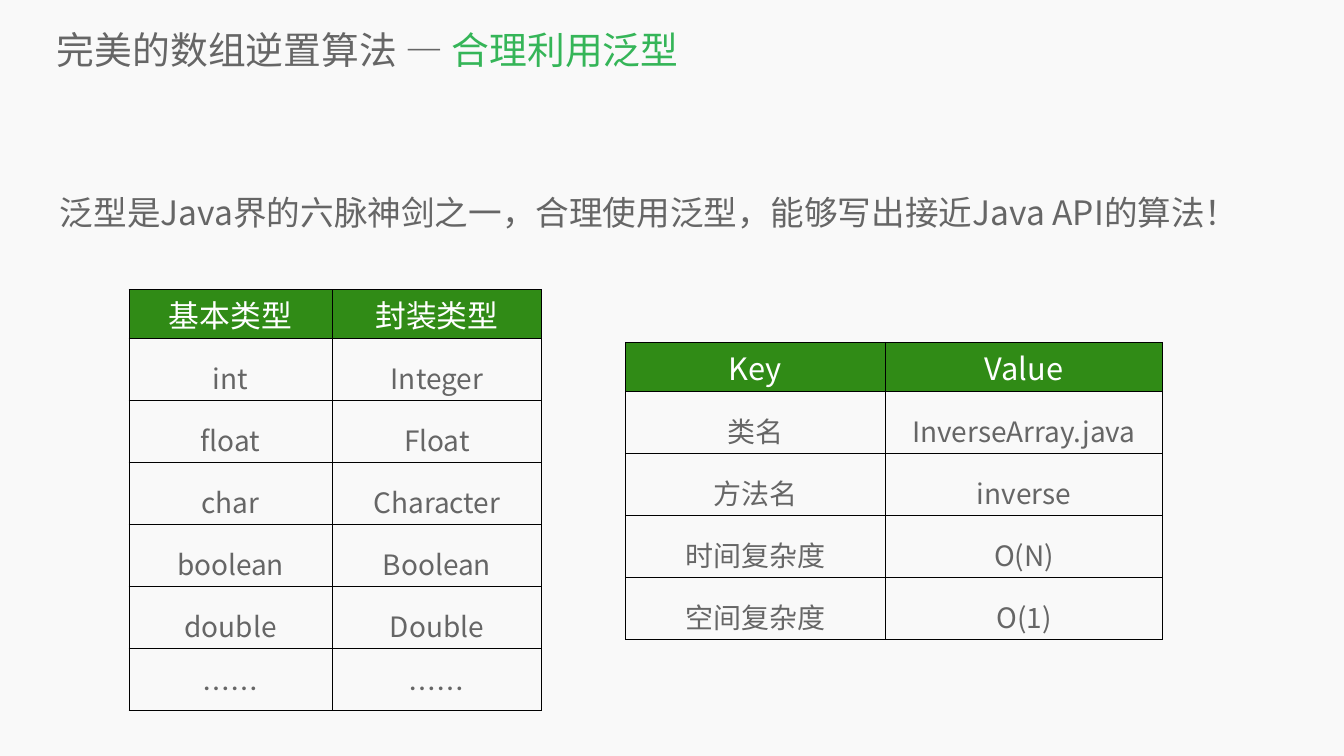
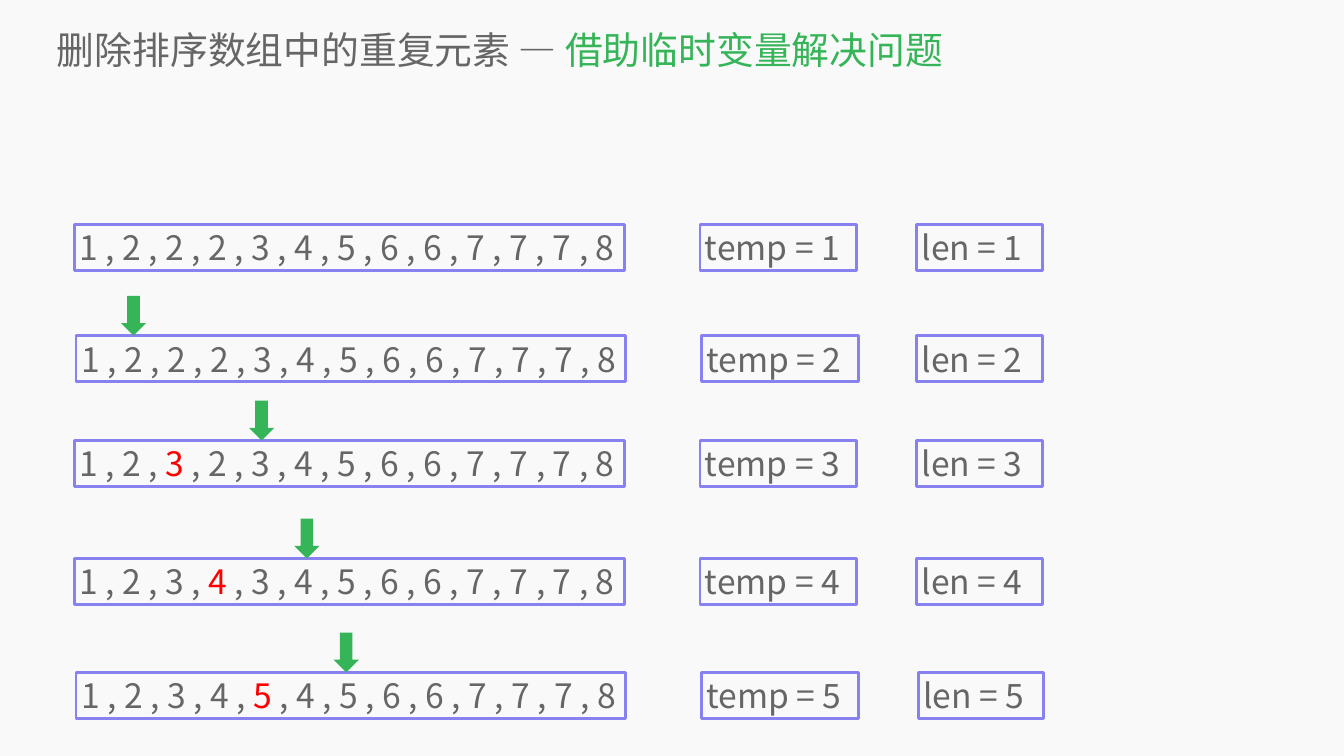
import pptx
import pptx.dml.color
import pptx.enum.shapes
import pptx.enum.text
import pptx.oxml
import pptx.oxml.ns
import pptx.util

RGB = pptx.dml.color.RGBColor
SHAPE = pptx.enum.shapes.MSO_SHAPE
ANCHOR = pptx.enum.text.MSO_ANCHOR
ALIGN = pptx.enum.text.PP_ALIGN

PX = 9144  # EMU, 100 px to the inch
FONT = "Noto Sans CJK SC"
PAPER = RGB(0xF9, 0xF9, 0xF9)
GRAY = RGB(0x66, 0x66, 0x66)
GREEN = RGB(0x35, 0xB5, 0x58)
HEADER_GREEN = RGB(0x30, 0x8B, 0x16)
WHITE = RGB(0xFF, 0xFF, 0xFF)
RED = RGB(0xFF, 0x00, 0x00)
VIOLET = RGB(0x88, 0x81, 0xF0)

NO_MARGINS = dict.fromkeys(
    ("margin_left", "margin_top", "margin_right", "margin_bottom"), 0)
TITLE_FRAME = {**NO_MARGINS, "word_wrap": True, "vertical_anchor": ANCHOR.MIDDLE}
BODY_FRAME = {**NO_MARGINS, "word_wrap": True, "vertical_anchor": ANCHOR.TOP}
BOX_FRAME = {**TITLE_FRAME, "margin_left": 10 * PX, "margin_right": 10 * PX}
HEADER_PARAGRAPH = {"alignment": ALIGN.CENTER}
CELL_PARAGRAPH = {"alignment": ALIGN.CENTER, "line_spacing": 1.4}

TITLE_BOX = (113, 47, 2516, 102)
HEADER_HEIGHT, ROW_HEIGHT = 98, 123

TYPE_PAIRS = [
    ("基本类型", "封装类型"), ("int", "Integer"), ("float", "Float"),
    ("char", "Character"), ("boolean", "Boolean"), ("double", "Double"),
    ("……", "……"),
]
METHOD_FACTS = [
    ("Key", "Value"), ("类名", "InverseArray.java"), ("方法名", "inverse"),
    ("时间复杂度", "O(N)"), ("空间复杂度", "O(1)"),
]

SORTED_VALUES = [1, 2, 2, 2, 3, 4, 5, 6, 6, 7, 7, 7, 8]
# left and top of each step, then how far its length box and arrow
# stand from the left
STEPS = [(148, 445, 1671, None), (151, 666, 1668, 89), (148, 874, 1671, 346),
         (148, 1108, 1671, 436), (151, 1334, 1671, 511)]


def emu(*lengths):
    return [length * PX for length in lengths]


def apply(target, values):
    for name, value in values.items():
        setattr(target, name, value)


def write(frame, runs, size, paragraph_format=None):
    """Fill the first paragraph with (text, colour) runs."""
    paragraph = frame.paragraphs[0]
    apply(paragraph, paragraph_format or {})
    for text, color in runs:
        run = paragraph.add_run()
        run.text = text
        apply(run.font, {"size": pptx.util.Pt(size), "name": FONT, "bold": False})
        run.font.color.rgb = color
        east_asian = pptx.oxml.parse_xml(
            f'<a:ea {pptx.oxml.ns.nsdecls("a")} typeface="{FONT}"/>')
        run.font._element.append(east_asian)


def add_text(slide, box, runs, size, frame_format, paragraph_format=None):
    frame = slide.shapes.add_textbox(*emu(*box)).text_frame
    apply(frame, frame_format)
    write(frame, runs, size, paragraph_format)


def add_titled_slide(deck, topic, point):
    slide = deck.slides.add_slide(deck.slide_layouts[6])
    slide.background.fill.solid()
    slide.background.fill.fore_color.rgb = PAPER
    title = [(f"{topic} — ", GRAY), (point, GREEN)]
    add_text(slide, TITLE_BOX, title, 54, TITLE_FRAME)
    return slide


def add_borders(cell):
    properties = cell._tc.get_or_add_tcPr()
    for position, side in enumerate("LRTB"):
        properties.insert(position, pptx.oxml.parse_xml(
            f'<a:ln{side} {pptx.oxml.ns.nsdecls("a")} w="12700"><a:solidFill>'
            f'<a:srgbClr val="000000"/></a:solidFill></a:ln{side}>'))


def add_grid(slide, left, top, widths, rows):
    """Add a bordered table whose first row is a green header."""
    height = HEADER_HEIGHT + ROW_HEIGHT * (len(rows) - 1)
    table = slide.shapes.add_table(
        len(rows), len(widths), *emu(left, top, sum(widths), height)).table
    apply(table, {"first_row": False, "horz_banding": False})
    for column, width in zip(table.columns, widths):
        column.width = width * PX
    for index, texts in enumerate(rows):
        header = index == 0
        table.rows[index].height = (HEADER_HEIGHT if header else ROW_HEIGHT) * PX
        for cell, text in zip(table.rows[index].cells, texts):
            if header:
                cell.fill.solid()
                cell.fill.fore_color.rgb = HEADER_GREEN
                write(cell.text_frame, [(text, WHITE)], 44, HEADER_PARAGRAPH)
            else:
                cell.fill.background()
                write(cell.text_frame, [(text, GRAY)], 40, CELL_PARAGRAPH)
            add_borders(cell)


def add_outlined_box(slide, box, runs):
    outlined = slide.shapes.add_shape(SHAPE.RECTANGLE, *emu(*box))
    outlined.shadow.inherit = False
    outlined.fill.background()
    outlined.line.color.rgb = VIOLET
    outlined.line.width = pptx.util.Pt(4)
    apply(outlined.text_frame, BOX_FRAME)
    write(outlined.text_frame, runs, 48, {"alignment": ALIGN.LEFT})


def add_arrow(slide, left, bottom):
    width, height = 50, 79
    arrow = slide.shapes.add_shape(
        SHAPE.DOWN_ARROW, *emu(left, bottom - height, width, height))
    arrow.shadow.inherit = False
    arrow.fill.solid()
    arrow.fill.fore_color.rgb = GREEN
    arrow.line.fill.background()


def array_runs(values, changed):
    """Join the values with commas, the one at index changed in red."""
    if changed is None:
        return [(" , ".join(map(str, values)), GRAY)]
    before = "".join(f"{value} , " for value in values[:changed])
    after = "".join(f" , {value}" for value in values[changed + 1:])
    return [(before, GRAY), (str(values[changed]), RED), (after, GRAY)]


def add_step(slide, left, top, length_offset, arrow_offset, number, array):
    height = 91
    add_outlined_box(slide, (left, top, 1091, height), array)
    add_outlined_box(slide, (left + 1241, top, 311, height),
                     [(f"temp = {number}", GRAY)])
    add_outlined_box(slide, (left + length_offset, top, 249, height),
                     [(f"len = {number}", GRAY)])
    if arrow_offset is not None:
        add_arrow(slide, left + arrow_offset, top)


def add_generics_slide(deck):
    slide = add_titled_slide(deck, "完美的数组逆置算法", "合理利用泛型")
    claim = "泛型是Java界的六脉神剑之一，合理使用泛型，能够写出接近Java API的算法！"
    add_text(slide, (119, 349, 2428, 1124), [(claim, GRAY)], 48,
             BODY_FRAME, {"line_spacing": 1.4})
    add_grid(slide, 256, 574, (403, 416), TYPE_PAIRS)
    add_grid(slide, 1241, 679, (516, 550), METHOD_FACTS)


def add_duplicates_slide(deck):
    slide = add_titled_slide(deck, "删除排序数组中的重复元素", "借助临时变量解决问题")
    values = list(SORTED_VALUES)
    for number, placement in enumerate(STEPS, start=1):
        slot = number - 1
        changed = slot if values[slot] != number else None
        values[slot] = number
        add_step(slide, *placement, number, array_runs(values, changed))


def main():
    deck = pptx.Presentation()
    apply(deck, {"slide_width": 2667 * PX, "slide_height": 1500 * PX})
    add_generics_slide(deck)
    add_duplicates_slide(deck)
    deck.save("out.pptx")


if __name__ == "__main__":
    main()
